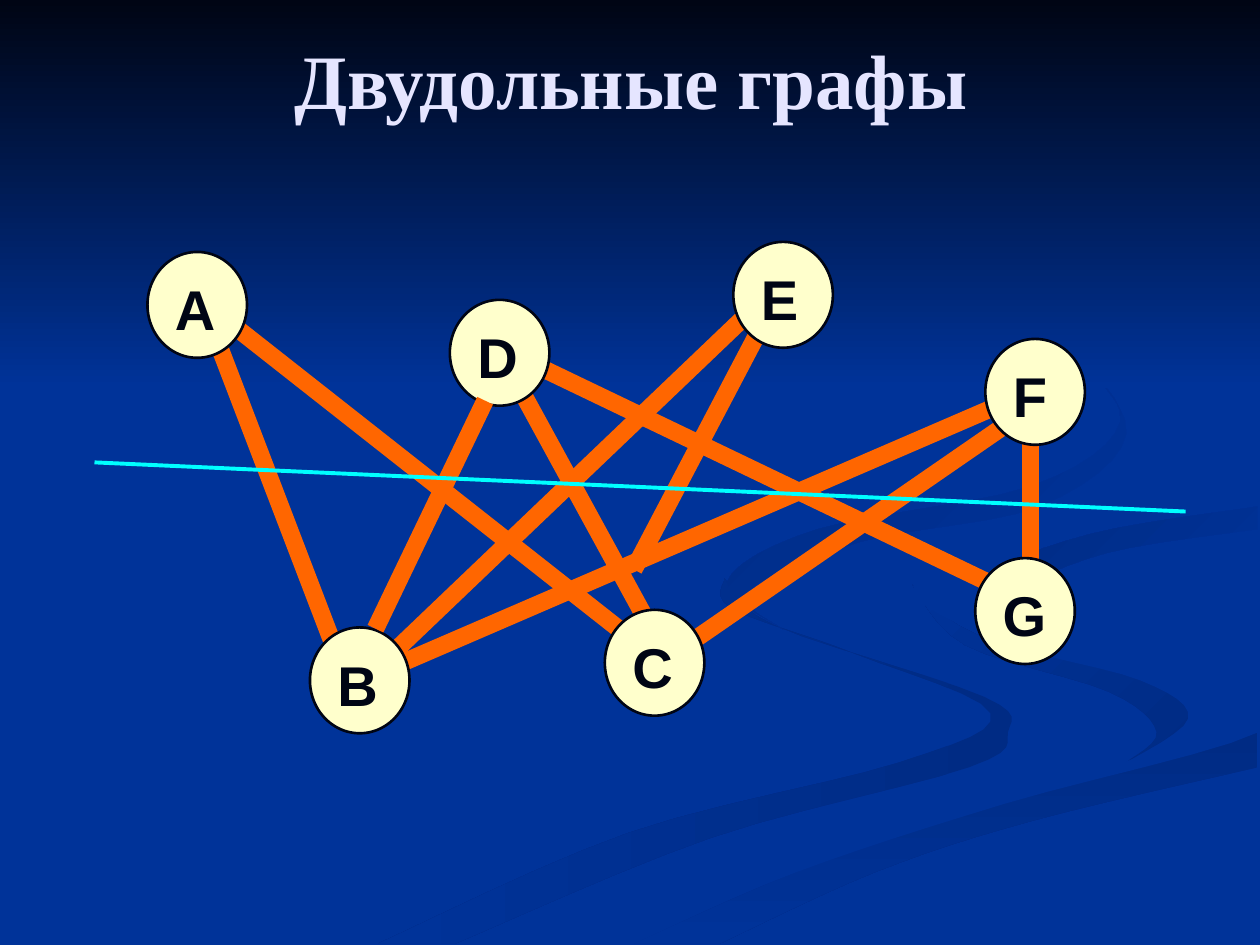
from dataclasses import dataclass
from typing import Optional

import pptx
import pptx.dml.color
import pptx.enum.shapes
import pptx.enum.text
import pptx.util
from lxml import etree
from pptx.util import Inches

Point = tuple[float, float]


@dataclass(frozen=True)
class Theme:
    background: str = "003399"
    dark: str = "000514"
    shade: str = "002B84"
    title: str = "E5E5FF"
    node: str = "FFFFCC"
    edge: str = "FF6600"
    separator: str = "00FFFF"
    title_font: str = "Times New Roman"
    label_font: str = "Arial"
    title_size: float = 44
    label_size: float = 32
    edge_width: float = 10
    separator_width: float = 2.25
    outline_width: float = 1.5


@dataclass(frozen=True)
class Ribbon:
    """Area between two curves that run the same way; gradient angle is clockwise."""
    left: list[Point]
    right: list[Point]
    start: str
    end: Optional[str] = None
    angle: float = 0


@dataclass(frozen=True)
class Node:
    label: str
    left: float
    top: float


@dataclass(frozen=True)
class Edge:
    start: Point
    end: Point


THEME = Theme()
NODE_WIDTH, NODE_HEIGHT = 0.79, 0.84
LABEL_DX, LABEL_DY, LABEL_HEIGHT = 0.12, 0.09, 0.64
CURVE_STEPS = 6

RIBBONS = [
    Ribbon([(5.75, 4.59), (6.14, 4.96), (7.81, 5.53), (8, 5.81), (7.69, 6.09),
            (5.64, 6.65), (3.61, 7.49)],
           [(5.75, 4.59), (5.81, 4.83), (6.79, 5.19), (7.86, 5.66), (7.14, 6.05),
            (4.99, 6.61), (3, 7.49)],
           THEME.shade, THEME.background, 180),
    Ribbon([(7.24, 4.64), (7.74, 5.03), (9.05, 5.4), (9.43, 5.7), (8.94, 6.05)],
           [(7.24, 4.64), (7.66, 5.12), (8.8, 5.49), (9.18, 5.81), (8.94, 6.05)],
           THEME.shade, THEME.background, 225),
    Ribbon([(5.03, 7.49), (6.3, 6.93), (7.64, 6.47), (9.98, 5.81)],
           [(5.71, 7.49), (6.95, 6.92), (8.21, 6.51), (9.98, 6.09)],
           THEME.shade, THEME.background, 90),
    Ribbon([(9.99, 3.87), (8.3, 4.15), (7.25, 4.64), (7.93, 5.09), (9.05, 5.4),
            (9.43, 5.7), (8.92, 6.05), (6.63, 6.68), (4.77, 7.49)],
           [(9.99, 4.02), (8.5, 4.27), (7.81, 4.63), (8.66, 5.09), (9.99, 5.38),
            (9.99, 5.81), (7.97, 6.38), (6.3, 6.93), (5.03, 7.49)],
           THEME.background),
    Ribbon([(9.98, 4.02), (8.65, 4.24), (7.81, 4.6), (8.26, 4.96)],
           [(9.98, 4.2), (8.78, 4.39), (8.05, 4.72), (8.26, 4.96)],
           THEME.background, THEME.shade, 225),
    Ribbon([(7.62, 2.33), (8.43, 2.75), (8.94, 3.44), (8.25, 4.02), (6.83, 4.3),
            (5.93, 4.7), (6.22, 5)],
           [(7.62, 2.33), (8.46, 2.79), (8.89, 3.35), (8.18, 3.86), (6.49, 4.2),
            (5.77, 4.62), (6.22, 5)],
           THEME.background, THEME.shade, 225),
    Ribbon([(0, 0), (10, 0)], [(0, 3.08), (10, 3.08)], THEME.dark, THEME.background, 90),
]

EDGES = [
    Edge((8.15, 4.77), (3.9, 2.73)),
    Edge((8.18, 3.1), (8.18, 4.99)),
    Edge((1.61, 2.41), (2.75, 5.39)),
    Edge((8.26, 3.18), (5.16, 5.32)),
    Edge((2.9, 5.39), (6.02, 2.41)),
    Edge((5.03, 4.52), (6.18, 2.33)),
    Edge((5.31, 5.25), (4.01, 2.87)),
    Edge((5.24, 5.25), (1.53, 2.33)),
    Edge((2.87, 5.4), (8.15, 3.12)),
]
FRONT_EDGE = Edge((2.98, 4.99), (3.85, 3.18))
SEPARATOR = Edge((0.75, 3.67), (9.41, 4.06))

NODES = [
    Node("A", 1.17, 2), Node("B", 2.46, 4.98), Node("D", 3.57, 2.38), Node("C", 4.8, 4.84),
    Node("E", 5.82, 1.92), Node("F", 7.82, 2.69), Node("G", 7.74, 4.43),
]


def rgb(color: str) -> pptx.dml.color.RGBColor:
    return pptx.dml.color.RGBColor.from_string(color)


def smooth(points: list[Point]) -> list[Point]:
    """Return a Catmull-Rom curve through the points; two points stay a straight line."""
    if len(points) == 2:
        return points
    padded = [points[0], *points, points[-1]]
    curve = []
    for quad in zip(padded, padded[1:], padded[2:], padded[3:]):
        for step in range(CURVE_STEPS):
            t = step / CURVE_STEPS
            curve.append(tuple(
                b + t * (c - a) / 2 + t**2 * (2 * a - 5 * b + 4 * c - d) / 2
                + t**3 * (3 * b - a - 3 * c + d) / 2
                for a, b, c, d in zip(*quad)))
    return curve + [points[-1]]


def draw_ribbon(s, ribbon: Ribbon) -> None:
    outline = smooth(ribbon.left) + smooth(ribbon.right)[::-1]
    first, *rest = [(Inches(x), Inches(y)) for x, y in outline]
    builder = s.shapes.build_freeform(*first)
    builder.add_line_segments(rest, close=True)
    sp = builder.convert_to_shape()
    sp.shadow.inherit = False
    sp.line.fill.background()
    if ribbon.end is None:
        sp.fill.solid()
        sp.fill.fore_color.rgb = rgb(ribbon.start)
        return
    sp.fill.gradient()
    sp.fill.gradient_angle = (360 - ribbon.angle) % 360
    for stop, color in zip(sp.fill.gradient_stops, (ribbon.start, ribbon.end)):
        stop.color.rgb = rgb(color)


def draw_line(s, edge: Edge, color: str, width: float) -> None:
    ends = [Inches(v) for v in (*edge.start, *edge.end)]
    line = s.shapes.add_connector(pptx.enum.shapes.MSO_CONNECTOR.STRAIGHT, *ends)
    line.line.color.rgb = rgb(color)
    line.line.width = pptx.util.Pt(width)
    etree.SubElement(line._element.spPr, pptx.oxml.ns.qn("a:effectLst"))


def draw_text(s, text: str, box: tuple[float, float, float, float],
              font: str, size: float, color: str):
    """Add a bold one-paragraph text box and return its text frame."""
    tf = s.shapes.add_textbox(*map(Inches, box)).text_frame
    tf.word_wrap = True
    p = tf.paragraphs[0]
    p.text = text
    p.font.name, p.font.size, p.font.bold = font, pptx.util.Pt(size), True
    p.font.color.rgb = rgb(color)
    return tf


def draw_node(s, node: Node) -> None:
    sp = s.shapes.add_shape(pptx.enum.shapes.MSO_SHAPE.OVAL, Inches(node.left),
                            Inches(node.top), Inches(NODE_WIDTH), Inches(NODE_HEIGHT))
    sp.shadow.inherit = False
    sp.fill.solid()
    sp.fill.fore_color.rgb = rgb(THEME.node)
    sp.line.color.rgb = rgb(THEME.dark)
    sp.line.width = pptx.util.Pt(THEME.outline_width)
    box = (node.left + LABEL_DX, node.top + LABEL_DY, NODE_WIDTH, LABEL_HEIGHT)
    tf = draw_text(s, node.label, box, THEME.label_font, THEME.label_size, THEME.dark)
    tf.margin_top = Inches(0.09)


def main() -> None:
    prs = pptx.Presentation()
    prs.slide_width, prs.slide_height = Inches(10), Inches(7.5)
    s = prs.slides.add_slide(prs.slide_layouts[6])
    s.background.fill.solid()
    s.background.fill.fore_color.rgb = rgb(THEME.background)
    for ribbon in RIBBONS:
        draw_ribbon(s, ribbon)
    tf = draw_text(s, "Двудольные графы", (0.51, 0, 9, 1.25),
                   THEME.title_font, THEME.title_size, THEME.title)
    tf.vertical_anchor = pptx.enum.text.MSO_ANCHOR.MIDDLE
    tf.paragraphs[0].alignment = pptx.enum.text.PP_ALIGN.CENTER
    for edge in EDGES:
        draw_line(s, edge, THEME.edge, THEME.edge_width)
    for node in NODES:
        draw_node(s, node)
    draw_line(s, FRONT_EDGE, THEME.edge, THEME.edge_width)
    draw_line(s, SEPARATOR, THEME.separator, THEME.separator_width)
    prs.save("out.pptx")


if __name__ == "__main__":
    main()
